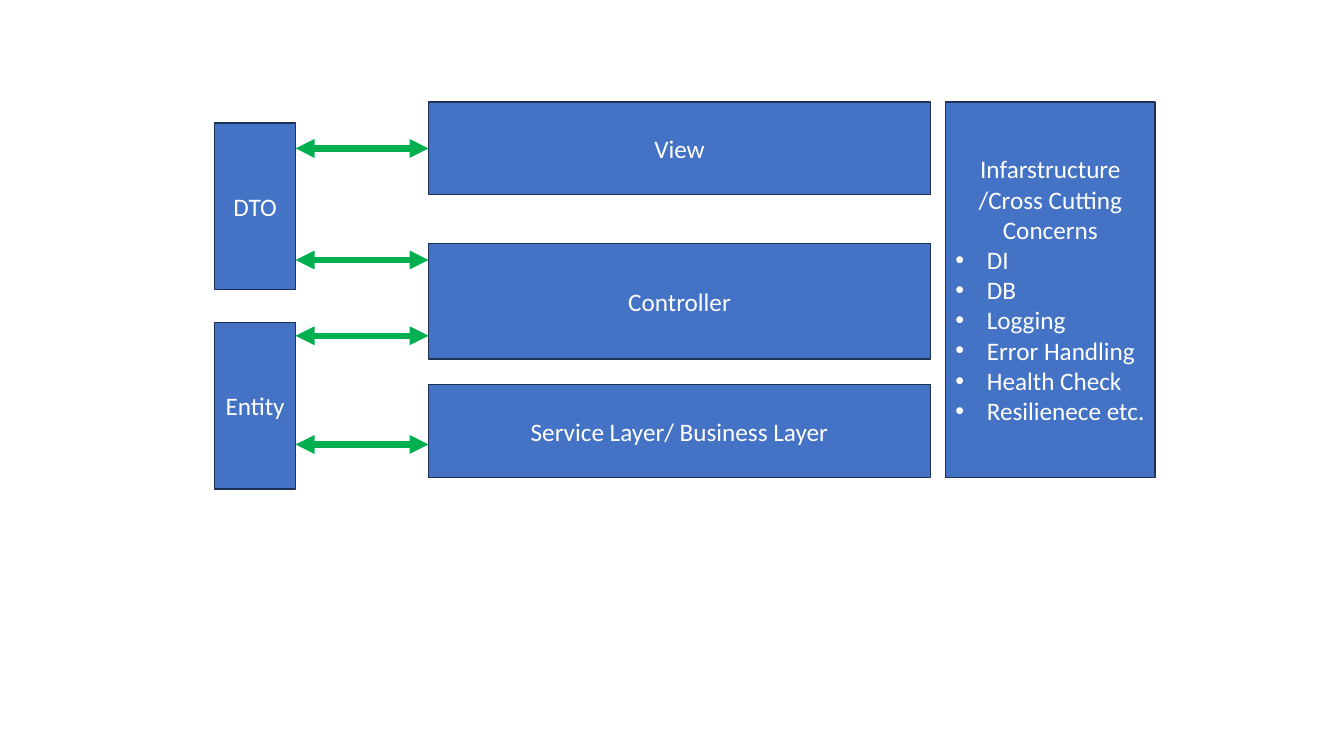
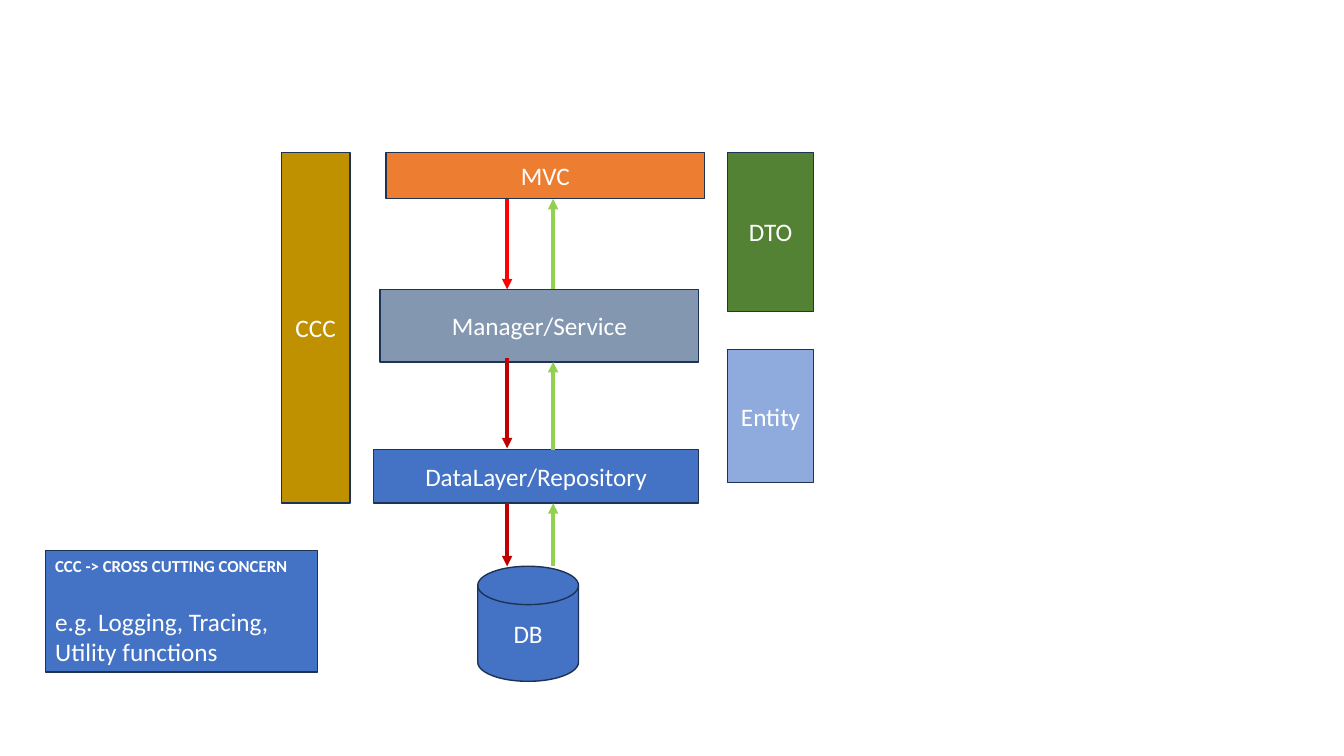
"""Build two slides of application layer diagrams."""
import pptx
import pptx.util
import pptx.dml.color
import pptx.enum.shapes
import pptx.enum.text
import pptx.oxml.ns
import lxml.etree

Cm, Pt = pptx.util.Cm, pptx.util.Pt
SHAPE = pptx.enum.shapes.MSO_SHAPE
ALIGN = pptx.enum.text.PP_ALIGN

INK = {
    "blue": "4472C4", "edge": "1E3256", "white": "FFFFFF", "orange": "ED7D31",
    "slate": "8497B0", "forest": "548235", "sky": "8FAADC", "gold": "BF9000",
    "green": "00B050", "lime": "92D050", "red": "FF0000", "dark": "C00000",
}

LAYERS = [("View", 2.34), ("Controller", 2.92), ("Service Layer/ Business Layer", 2.34)]
LAYER_X, LAYER_W, LAYER_Y, LAYER_STEP = 10.8, 12.65, 2.57, 3.56
MODELS = [("DTO", 3.1), ("Entity", 8.13)]
MODEL_X, MODEL_W, MODEL_H = 5.41, 2.04, 4.19
LINKS = [3.74, 6.55, 8.46, 11.2]
PANEL = (23.83, LAYER_Y, 5.28, 9.46)
HEAD = "Infarstructure /Cross Cutting Concerns"
CONCERNS = ["DI", "DB", "Logging", "Error Handling", "Health Check", "Resilienece etc."]

TOP = 3.84
BLOCKS = [
    ("MVC", "orange", (9.73, TOP, 8.03, 1.17)),
    ("Manager/Service", "slate", (9.58, 7.29, 8.03, 1.83)),
    ("DataLayer/Repository", "blue", (9.42, 11.33, 8.18, 1.35)),
    ("DTO", "forest", (18.34, TOP, 2.16, 4.01)),
    ("Entity", "sky", (18.34, 8.81, 2.16, 3.35)),
    ("CCC", "gold", (7.09, TOP, 1.73, 8.84)),
]
STORE = (12.04, 14.27, 2.54, 2.9)
NOTE = (1.14, 13.87, 6.86, 3.07)
DOWN_X, UP_X = 12.78, 13.94
CALLS = [("red", 5.01, 7.29), ("dark", 9.02, 11.3), ("dark", 12.68, 14.27)]
REPLIES = [(7.29, 5.01), (11.33, 9.12), (14.27, 12.68)]


def rgb(name):
    return pptx.dml.color.RGBColor.from_string(INK[name])


def add(parent, tag, **attrs):
    return lxml.etree.SubElement(parent, pptx.oxml.ns.qn(tag), attrs)


def put(shape, text, size=18, bold=False, align=ALIGN.CENTER, bullet=False, after=0):
    frame = shape.text_frame
    para = frame.add_paragraph() if frame.text else frame.paragraphs[0]
    para.text, para.alignment = text, align
    para.space_after = Pt(after)
    if bullet:
        props = para._p.get_or_add_pPr()
        props.set("marL", str(Cm(0.79)))
        props.set("indent", str(-Cm(0.79)))
        add(props, "a:buFont", typeface="Arial")
        add(props, "a:buChar", char="•")
    font = para.font
    font.name, font.size, font.bold = "Calibri", Pt(size), bold
    font.color.rgb = rgb("white")


def box(slide, area, fill="blue", text="", kind=SHAPE.RECTANGLE):
    shape = slide.shapes.add_shape(kind, *map(Cm, area))
    shape.shadow.inherit = False
    shape.fill.solid()
    shape.fill.fore_color.rgb = rgb(fill)
    shape.line.color.rgb = rgb("edge")
    shape.line.width = Pt(1)
    shape.text_frame.word_wrap = True
    shape.text_frame.vertical_anchor = pptx.enum.text.MSO_ANCHOR.MIDDLE
    if text:
        put(shape, text)
    return shape


def arrow(slide, ends, color, width, both=False):
    line = slide.shapes.add_connector(
        pptx.enum.shapes.MSO_CONNECTOR.STRAIGHT, *map(Cm, ends))
    line.line.color.rgb = rgb(color)
    line.line.width = Pt(width)
    stroke = line.line._get_or_add_ln()
    if both:
        add(stroke, "a:headEnd", type="triangle")
    add(stroke, "a:tailEnd", type="triangle")
    add(line._element.spPr, "a:effectLst")
    return line


def layers(slide):
    rows = [
        box(slide, (LAYER_X, LAYER_Y + i * LAYER_STEP, LAYER_W, high), text=name)
        for i, (name, high) in enumerate(LAYERS)
    ]
    for name, y in MODELS:
        box(slide, (MODEL_X, y, MODEL_W, MODEL_H), text=name)
    links = [
        arrow(slide, (MODEL_X + MODEL_W, y, LAYER_X, y), "green", 4.5, both=True)
        for y in LINKS
    ]
    links[0].end_connect(rows[0], 1)
    panel = box(slide, PANEL, text=HEAD)
    for item in CONCERNS:
        put(panel, item, align=ALIGN.LEFT, bullet=True)


def flow(slide):
    for name, fill, area in BLOCKS:
        box(slide, area, fill, name)
    box(slide, STORE, text="DB", kind=SHAPE.FLOWCHART_MAGNETIC_DISK)
    for color, start, end in CALLS:
        arrow(slide, (DOWN_X, start, DOWN_X, end), color, 2.5)
    for start, end in REPLIES:
        arrow(slide, (UP_X, start, UP_X, end), "lime", 2.5)
    note = box(slide, NOTE)
    put(note, "CCC -> CROSS CUTTING CONCERN", size=12, bold=True, align=ALIGN.LEFT, after=22)
    put(note, "e.g. Logging, Tracing, Utility functions", align=ALIGN.LEFT)


def main():
    deck = pptx.Presentation()
    deck.slide_width, deck.slide_height = Cm(33.87), Cm(19.05)
    for draw in (layers, flow):
        draw(deck.slides.add_slide(deck.slide_layouts[6]))
    deck.save("out.pptx")


if __name__ == "__main__":
    main()
